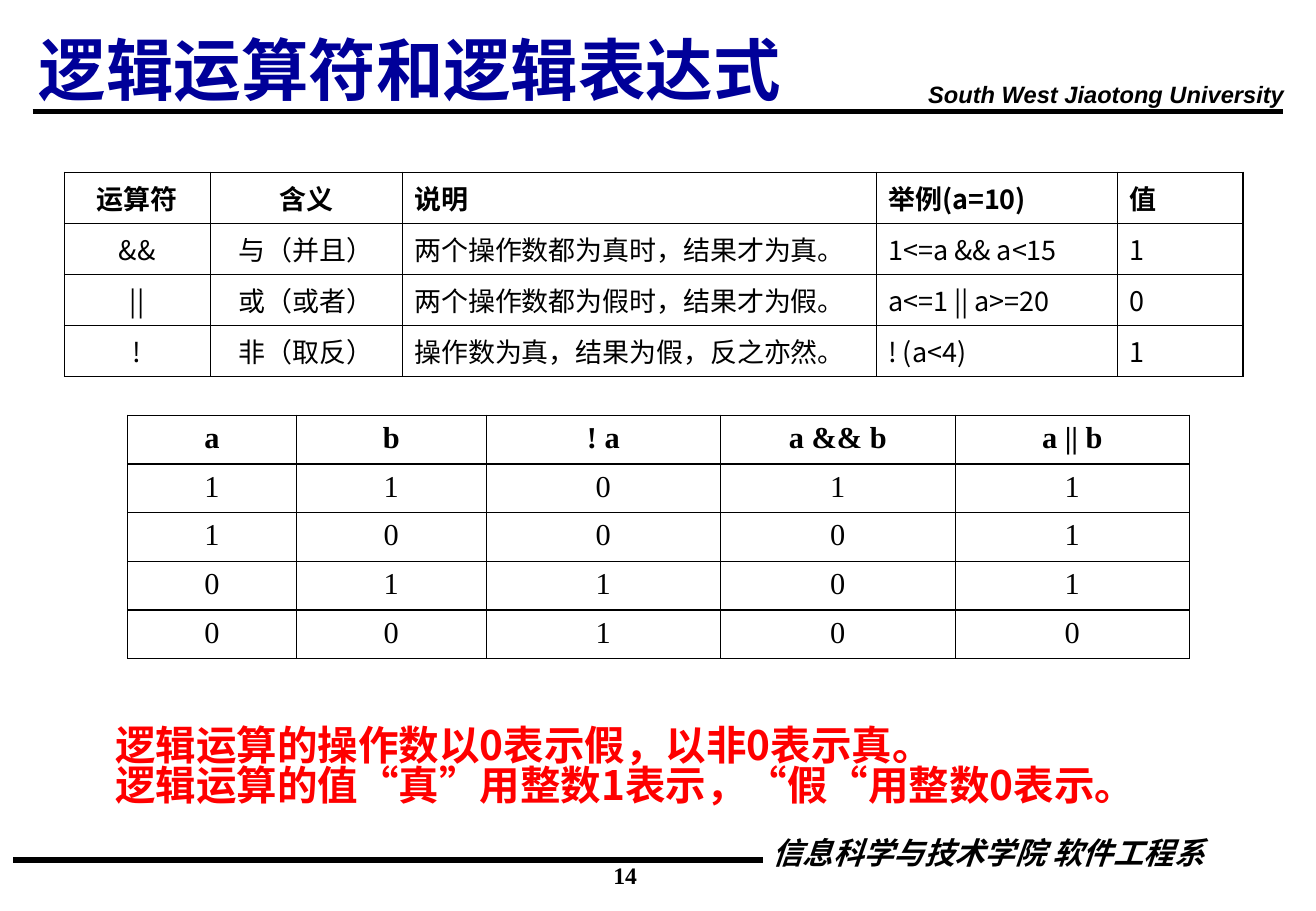
from dataclasses import dataclass

from lxml.etree import SubElement
from pptx import Presentation
from pptx.dml.color import RGBColor
from pptx.enum.text import MSO_ANCHOR, MSO_AUTO_SIZE, PP_ALIGN
from pptx.oxml.ns import qn
from pptx.util import Inches, Pt

WIDE, HIGH = Inches(10.83), Inches(7.5)
BLACK, NAVY, RED = "000000", "000099", "FF0000"
SANS, SERIF, ARIAL = "Noto Sans CJK SC", "Times New Roman", "Arial"
LEFT, MID, RIGHT = PP_ALIGN.LEFT, PP_ALIGN.CENTER, PP_ALIGN.RIGHT
THIN, BOLD = 0.75, 1


@dataclass
class Style:
    """Look of a paragraph."""
    size: int
    font: str
    color: str = BLACK
    bold: bool = True
    slant: bool = False
    align: PP_ALIGN = LEFT
    space: float = 1


@dataclass
class Label:
    """Text box; its box is left, top, width, height in % of the slide."""
    box: tuple
    lines: list
    style: Style
    anchor: MSO_ANCHOR = MSO_ANCHOR.TOP
    wrap: bool = True


@dataclass
class Rule:
    """Level line, in % of the slide."""
    start: float
    end: float
    y: float


@dataclass
class Grid:
    """Table; place is left, top, width and row height in % of the slide."""
    place: tuple
    cols: list
    aligns: list
    size: int
    font: str
    rows: list


def across(share: float) -> int:
    """Turn % of the slide's width into a length."""
    return round(WIDE * share / 100)


def down(share: float) -> int:
    """Turn % of the slide's height into a length."""
    return round(HIGH * share / 100)


def frame(box: tuple) -> tuple:
    """Turn a box in % into lengths."""
    x, y, w, h = box
    return across(x), down(y), across(w), down(h)


def paint(color: str) -> RGBColor:
    """Turn a hex string into a colour."""
    return RGBColor.from_string(color)


def write(para, text: str, style: Style) -> None:
    """Fill a paragraph with styled text."""
    para.text = text
    para.alignment = style.align
    para.line_spacing = style.space
    font = para.font
    font.size, font.name = Pt(style.size), style.font
    font.bold, font.italic = style.bold, style.slant
    font.color.rgb = paint(style.color)
    props = para._p.pPr.find(qn("a:defRPr"))
    SubElement(props, qn("a:ea"), typeface=SANS)


def put_title(slide, text: str) -> None:
    """Move and fill the title placeholder."""
    title = slide.shapes.title
    title.left, title.top, title.width, title.height = frame(
        (2.03, 2.13, 85.04, 10.67))
    body = title.text_frame
    body.auto_size = MSO_AUTO_SIZE.NONE
    body.vertical_anchor = MSO_ANCHOR.MIDDLE
    write(body.paragraphs[0], text, Style(40, SERIF, NAVY))


def put_label(slide, label: Label) -> None:
    """Draw a text box."""
    body = slide.shapes.add_textbox(*frame(label.box)).text_frame
    body.word_wrap = label.wrap
    body.vertical_anchor = label.anchor
    for i, line in enumerate(label.lines):
        para = body.add_paragraph() if i else body.paragraphs[0]
        write(para, line, label.style)


def put_rule(slide, rule: Rule) -> None:
    """Draw a thick level line without a shadow."""
    y = down(rule.y)
    line = slide.shapes.add_connector(
        1, across(rule.start), y, across(rule.end), y)
    line.line.color.rgb = paint(BLACK)
    line.line.width = Pt(3)
    SubElement(line._element.spPr, qn("a:effectLst"))


def edge(cell, side: str, width: float) -> None:
    """Add one border to a cell."""
    props = cell._tc.get_or_add_tcPr()
    line = SubElement(props, qn(f"a:ln{side}"), w=str(Pt(width)))
    fill = SubElement(line, qn("a:solidFill"))
    SubElement(fill, qn("a:srgbClr"), val=BLACK)


def put_grid(slide, grid: Grid) -> None:
    """Draw a bordered table with a bold first row."""
    x, y, wide, high = frame(grid.place)
    count = len(grid.rows)
    table = slide.shapes.add_table(
        count, len(grid.cols), x, y, wide, high * count).table
    table.first_row = table.horz_banding = False
    for col, part in zip(table.columns, grid.cols):
        col.width = round(wide * part / sum(grid.cols))
    for r, row in enumerate(grid.rows):
        table.rows[r].height = high
        top = BOLD if r < 2 else THIN
        base = BOLD if r in (0, count - 1) else THIN
        for c, text in enumerate(row):
            cell = table.cell(r, c)
            for side, width in zip("LRTB", (THIN, THIN, top, base)):
                edge(cell, side, width)
            cell.fill.background()
            style = Style(grid.size, grid.font, bold=r == 0,
                          align=grid.aligns[c])
            write(cell.text_frame.paragraphs[0], text, style)


RULES = [Rule(2.49, 97.51, 12.27), Rule(1.02, 57.99, 94.4)]

LABELS = [
    Label((69.62, 8.93, 28.99, 3.6), ["South West Jiaotong University"],
          Style(14, ARIAL, slant=True, space=0.7), wrap=False),
    Label((48.57, 92, 43.86, 4.13), ["信息科学与技术学院 软件工程系"],
          Style(18, SANS, slant=True, align=RIGHT, space=0.7)),
    Label((31.67, 93.87, 31.67, 4.4), ["14"], Style(14, SERIF, align=MID)),
    Label((7.85, 78.27, 83.66, 12.13),
          ["逻辑运算的操作数以0表示假，以非0表示真。",
           "逻辑运算的值“真”用整数1表示，“假“用整数0表示。"],
          Style(24, SANS, RED, space=0.82), MSO_ANCHOR.MIDDLE),
]

GRIDS = [
    Grid((4.89, 18.93, 89.57, 5.6), [1.2, 1.58, 3.9, 1.99, 1.03],
         [MID, MID, LEFT, LEFT, LEFT], 16, SANS, [
        ["运算符", "含义", "说明", "举例(a=10)", "值"],
        ["&&", "与（并且）", "两个操作数都为真时，结果才为真。",
         "1<=a && a<15", "1"],
        ["||", "或（或者）", "两个操作数都为假时，结果才为假。",
         "a<=1 || a>=20", "0"],
        ["!", "非（取反）", "操作数为真，结果为假，反之亦然。",
         "! (a<4)", "1"],
    ]),
    Grid((9.7, 45.6, 80.7, 5.03), [1.39, 1.56, 1.93, 1.93, 1.93],
         [MID] * 5, 18, SERIF, [
        ["a", "b", "! a", "a && b", "a || b"],
        *("11011", "10001", "01101", "00100"),
    ]),
]


def main() -> None:
    """Build and save the slide."""
    deck = Presentation()
    deck.slide_width, deck.slide_height = WIDE, HIGH
    slide = deck.slides.add_slide(deck.slide_layouts[5])
    put_title(slide, "逻辑运算符和逻辑表达式")
    for rule in RULES:
        put_rule(slide, rule)
    for label in LABELS:
        put_label(slide, label)
    for grid in GRIDS:
        put_grid(slide, grid)
    deck.save("out.pptx")


main()
